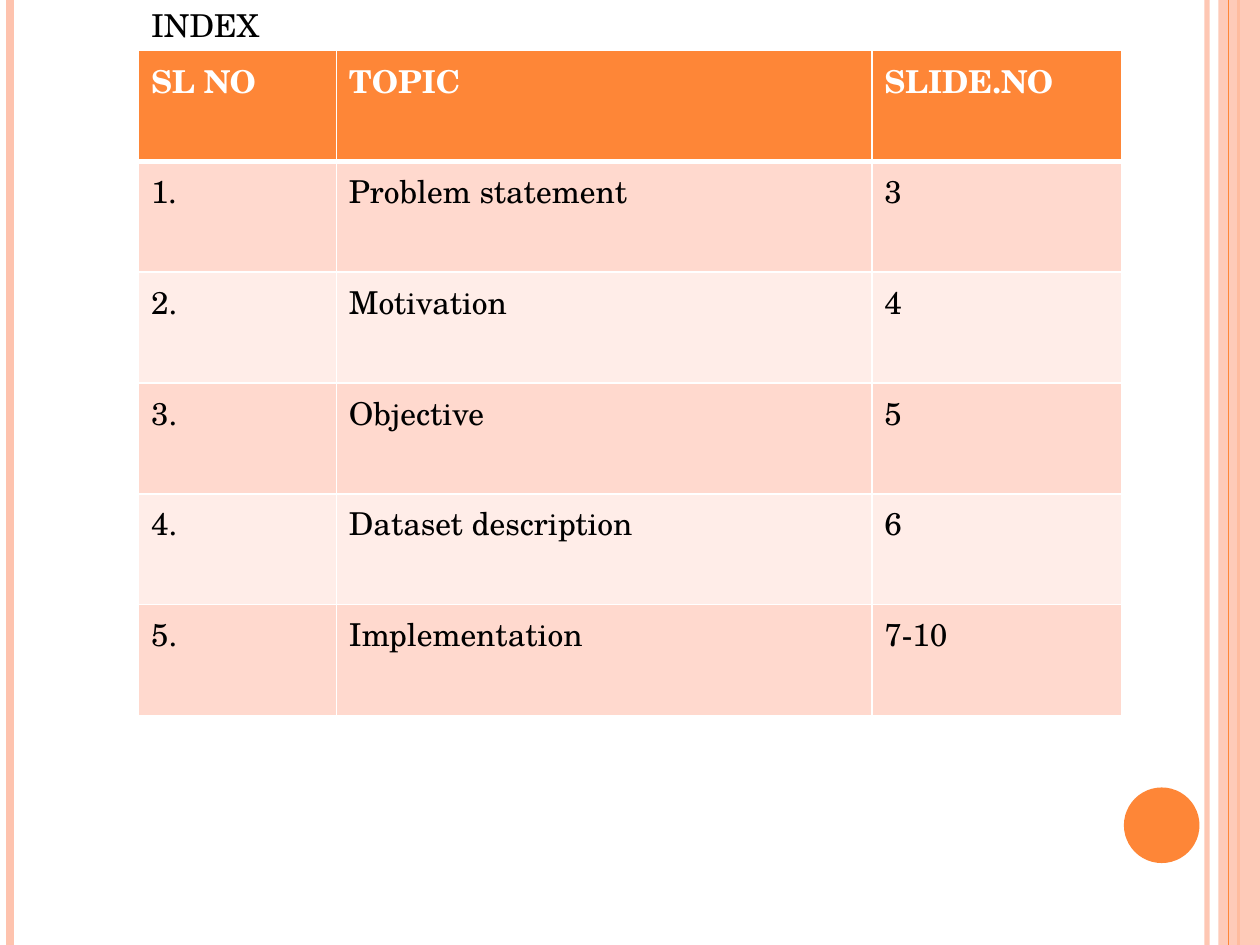
import dataclasses

import lxml.etree
import pptx
import pptx.dml.color
import pptx.enum.shapes
import pptx.enum.text
import pptx.oxml.ns
import pptx.util

Inches = pptx.util.Inches
Pt = pptx.util.Pt
RGB = pptx.dml.color.RGBColor
qn = pptx.oxml.ns.qn
SHAPE = pptx.enum.shapes.MSO_SHAPE


@dataclasses.dataclass(frozen=True)
class Theme:
    font: str = "TeX Gyre Schola"
    size: float = 18
    text: str = "000000"
    white: str = "FFFFFF"
    accent: str = "FE8637"
    pale: str = "FEC3AE"
    bands: tuple[str, str] = ("FFD9CE", "FFEDE8")


@dataclasses.dataclass(frozen=True)
class Stripe:
    x: float
    color: str
    width: float
    alpha: int = 100


THEME = Theme()
WIDTH, HEIGHT = 10, 7.5
LEFT, TOP = 1.1, 0.4
ROW = 0.88
COLS = (1.57, 4.25, 1.98)
UNDER = (
    Stripe(9.58, THEME.pale, 3, 93),
    Stripe(0.08, THEME.pale, 4.5),
    Stripe(9.83, THEME.accent, 1.5),
)
OVER = Stripe(9.75, THEME.accent, 0.75)
ROWS = (
    ("SL NO", "TOPIC", "SLIDE.NO"),
    ("1.", "Problem statement", "3"),
    ("2.", "Motivation", "4"),
    ("3.", "Objective", "5"),
    ("4.", "Dataset description", "6"),
    ("5.", "Implementation", "7-10"),
)


def set_alpha(shape, percent: int) -> None:
    """Set the opacity of the first solid colour in the shape."""
    color = next(shape._element.spPr.iter(qn("a:srgbClr")))
    lxml.etree.SubElement(color, qn("a:alpha"), val=str(percent * 1000))


def draw_stripe(slide, stripe: Stripe) -> None:
    x = Inches(stripe.x)
    line = slide.shapes.add_connector(
        pptx.enum.shapes.MSO_CONNECTOR.STRAIGHT, x, 0, x, Inches(HEIGHT))
    line.line.color.rgb = RGB.from_string(stripe.color)
    line.line.width = Pt(stripe.width)
    lxml.etree.SubElement(line._element.spPr, qn("a:effectLst"))
    if stripe.alpha < 100:
        set_alpha(line, stripe.alpha)


def draw_shape(slide, kind, left: float, top: float, width: float,
               height: float, color: str):
    shape = slide.shapes.add_shape(
        kind, Inches(left), Inches(top), Inches(width), Inches(height))
    shape.shadow.inherit = False
    shape.fill.solid()
    shape.fill.fore_color.rgb = RGB.from_string(color)
    shape.line.fill.background()
    return shape


def style_text(frame, color: str, bold: bool = False) -> None:
    for run in frame.paragraphs[0].runs:
        run.font.name = THEME.font
        run.font.size = Pt(THEME.size)
        run.font.bold = bold
        run.font.color.rgb = RGB.from_string(color)


def set_borders(cell, top: float, bottom: float) -> None:
    """Draw white cell borders, one point wide at the sides."""
    props = cell._tc.get_or_add_tcPr()
    widths = {"a:lnL": 1, "a:lnR": 1, "a:lnT": top, "a:lnB": bottom}
    for index, (tag, width) in enumerate(widths.items()):
        line = lxml.etree.Element(qn(tag), w=str(Pt(width)))
        fill = lxml.etree.SubElement(line, qn("a:solidFill"))
        lxml.etree.SubElement(fill, qn("a:srgbClr"), val=THEME.white)
        props.insert(index, line)


def draw_table(slide) -> None:
    table = slide.shapes.add_table(
        len(ROWS), len(COLS), Inches(LEFT), Inches(TOP),
        Inches(sum(COLS)), Inches(ROW * len(ROWS))).table
    for column, width in zip(table.columns, COLS):
        column.width = Inches(width)
    for r, texts in enumerate(ROWS):
        table.rows[r].height = Inches(ROW)
        head = r == 0
        color = THEME.accent if head else THEME.bands[(r - 1) % 2]
        for c, text in enumerate(texts):
            cell = table.cell(r, c)
            cell.text_frame.text = text
            style_text(cell.text_frame, THEME.white if head else THEME.text, head)
            cell.fill.solid()
            cell.fill.fore_color.rgb = RGB.from_string(color)
            set_borders(cell, 3 if r == 1 else 1, 3 if head else 1)


def draw_title(slide) -> None:
    title = slide.shapes.title
    title.left, title.top = Inches(LEFT), 0
    title.width, title.height = Inches(4.02), Inches(TOP)
    frame = title.text_frame
    frame.text = "INDEX"
    frame.word_wrap = True
    frame.auto_size = pptx.enum.text.MSO_AUTO_SIZE.NONE
    frame.vertical_anchor = pptx.enum.text.MSO_ANCHOR.TOP
    frame.paragraphs[0].alignment = pptx.enum.text.PP_ALIGN.LEFT
    style_text(frame, THEME.text)


def main() -> None:
    deck = pptx.Presentation()
    deck.slide_width, deck.slide_height = Inches(WIDTH), Inches(HEIGHT)
    slide = deck.slides.add_slide(deck.slide_layouts.get_by_name("Title Only"))
    for stripe in UNDER:
        draw_stripe(slide, stripe)
    band = draw_shape(slide, SHAPE.RECTANGLE, 9.67, 0, 0.33, HEIGHT, THEME.pale)
    set_alpha(band, 87)
    draw_stripe(slide, OVER)
    draw_shape(slide, SHAPE.OVAL, 8.92, 6.25, 0.6, 0.6, THEME.accent)
    draw_table(slide)
    draw_title(slide)
    deck.save("out.pptx")


if __name__ == "__main__":
    main()
